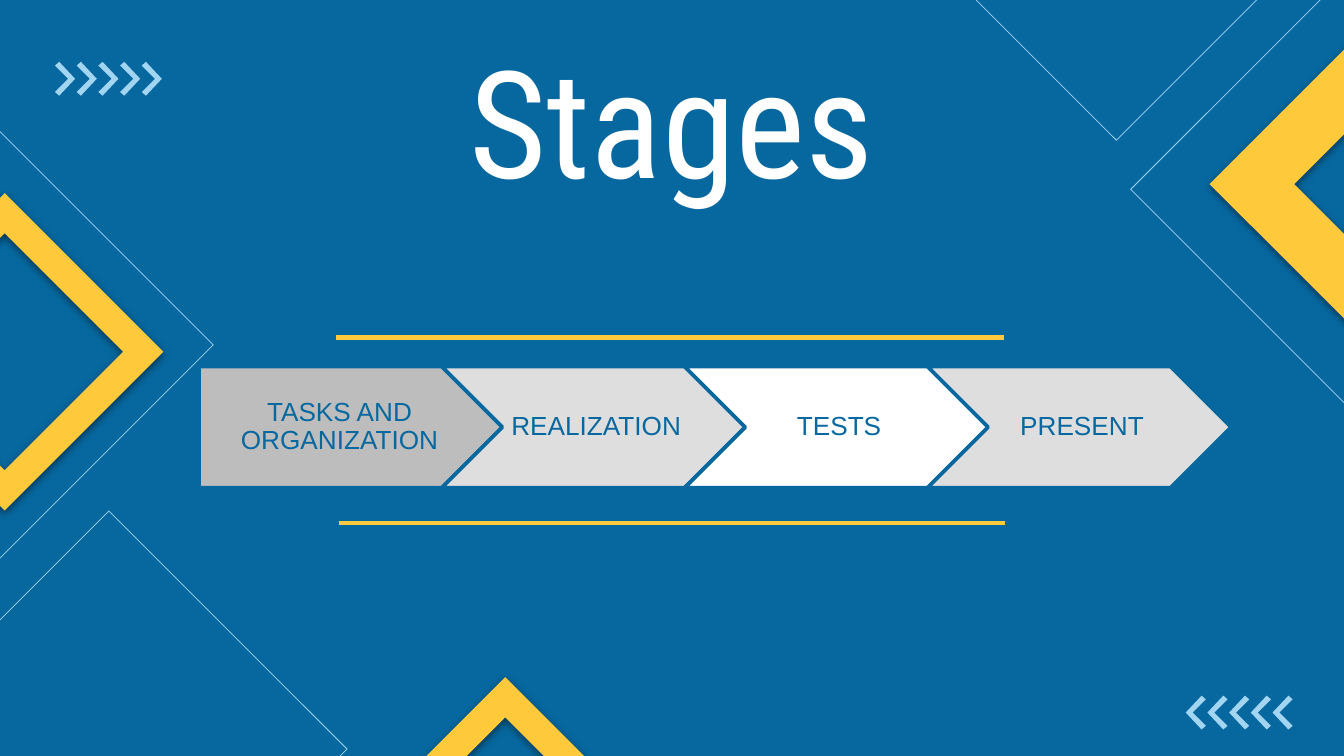
"""Build the Stages slide: a four-step process band framed by diamonds and small arrows."""
from lxml.etree import SubElement
from pptx import Presentation
from pptx.dml.color import RGBColor
from pptx.enum.shapes import MSO_CONNECTOR as Link, MSO_SHAPE as Preset
from pptx.enum.text import MSO_ANCHOR as Anchor, MSO_AUTO_SIZE as Fit, PP_ALIGN as Align
from pptx.oxml.ns import qn
from pptx.util import Cm, Pt

COLORS = {
    "blue": "07689F", "sky": "A2D5F2", "yellow": "FFC93C",
    "white": "FFFFFF", "gray": "BDBDBD", "light": "DEDEDE",
}
RGB = {name: RGBColor.from_string(value) for name, value in COLORS.items()}

deck = Presentation()
deck.slide_width, deck.slide_height = Cm(25.4), Cm(14.29)
slide = deck.slides.add_slide(deck.slide_layouts[5])
slide.background.fill.solid()
slide.background.fill.fore_color.rgb = RGB["blue"]


def draw_outline(contours, color):
    """Draw closed contours, given in centimetres, as one filled shape."""
    contours = [[(Cm(x), Cm(y)) for x, y in contour] for contour in contours]
    builder = slide.shapes.build_freeform(*contours[0][0])
    builder.add_line_segments(contours[0][1:])
    for contour in contours[1:]:
        builder.move_to(*contour[0])
        builder.add_line_segments(contour[1:])
    outline = builder.convert_to_shape()
    outline.shadow.inherit = False
    outline.fill.solid()
    outline.fill.fore_color.rgb = RGB[color]
    outline.line.fill.background()
    return outline


def diamond(x, y, radius):
    """Return the closed corner points of a diamond."""
    return [(x, y - radius), (x + radius, y), (x, y + radius), (x - radius, y), (x, y - radius)]


for x, y in [(-0.47, 6.52), (21.1, -1.85), (25.87, 3.58), (2.06, 14.16)]:
    draw_outline([diamond(x, y, 4.51), diamond(x, y, 4.49)], "sky")

arrow = [(0.08, -0.32), (0, -0.25), (0.25, 0), (0, 0.25), (0.08, 0.32), (0.38, 0), (0.08, -0.32)]
for start, middle, direction in [(1.04, 1.49, 1), (24.43, 13.47, -1)]:
    for step in range(5):
        draw_outline([[(start + direction * (step * 0.41 + x), middle + y) for x, y in arrow]], "sky")

for x, y, outer, inner in [(0.09, 6.65, 3, 2.24), (25.95, 3.48, 3.09, 1.49), (9.55, 15.8, 3, 2.24)]:
    frame = draw_outline([diamond(x, y, outer), diamond(x, y, inner)], "yellow")
    effects = frame._element.spPr.find(qn("a:effectLst"))
    shadow = SubElement(effects, qn("a:outerShdw"), blurRad=str(Pt(4.5)), dist=str(Pt(1.5)),
                        dir="5400000", algn="bl", rotWithShape="0")
    shade = SubElement(shadow, qn("a:srgbClr"), val="000000")
    SubElement(shade, qn("a:alpha"), val="50000")

title = slide.shapes.title
title.left, title.top, title.width, title.height = Cm(4.37), Cm(0.3), Cm(16.66), Cm(2.34)
heading = title.text_frame
heading.auto_size = Fit.NONE
heading.vertical_anchor = Anchor.TOP
heading.margin_left = heading.margin_right = heading.margin_top = heading.margin_bottom = Cm(0.25)
heading.paragraphs[0].alignment = Align.CENTER
word = heading.paragraphs[0].add_run()
word.text = "Stages"
word.font.name, word.font.size = "Roboto Condensed", Pt(80)
word.font.color.rgb = RGB["white"]

stages = [("TASKS AND ORGANIZATION", "gray"), ("REALIZATION", "light"),
          ("TESTS", "white"), ("PRESENT", "light")]
for index, (name, color) in enumerate(stages):
    preset = Preset.CHEVRON if index else Preset.PENTAGON
    stage = slide.shapes.add_shape(preset, Cm(3.76 + index * 4.59), Cm(6.93), Cm(5.74), Cm(2.29))
    stage.shadow.inherit = False
    stage.fill.solid()
    stage.fill.fore_color.rgb = RGB[color]
    stage.line.color.rgb = RGB["blue"]
    stage.line.width = Pt(2)
    label = stage.text_frame
    label.word_wrap = True
    label.vertical_anchor = Anchor.MIDDLE
    label.margin_left = Cm(0.15 if index else 0.2)
    label.margin_right = Cm(0.05)
    label.margin_top = label.margin_bottom = Cm(0.1)
    paragraph = label.paragraphs[0]
    paragraph.alignment = Align.CENTER
    paragraph.line_spacing = 0.9
    caption = paragraph.add_run()
    caption.text = name
    caption.font.name, caption.font.size = "Arial", Pt(14)
    caption.font.color.rgb = RGB["blue"]

for left, right, y in [(6.4, 19, 9.88), (6.35, 18.97, 6.38)]:
    rule = slide.shapes.add_connector(Link.STRAIGHT, Cm(left), Cm(y), Cm(right), Cm(y))
    rule.line.color.rgb = RGB["yellow"]
    rule.line.width = Pt(2.25)
    SubElement(rule._element.spPr, qn("a:effectLst"))

deck.save("out.pptx")
